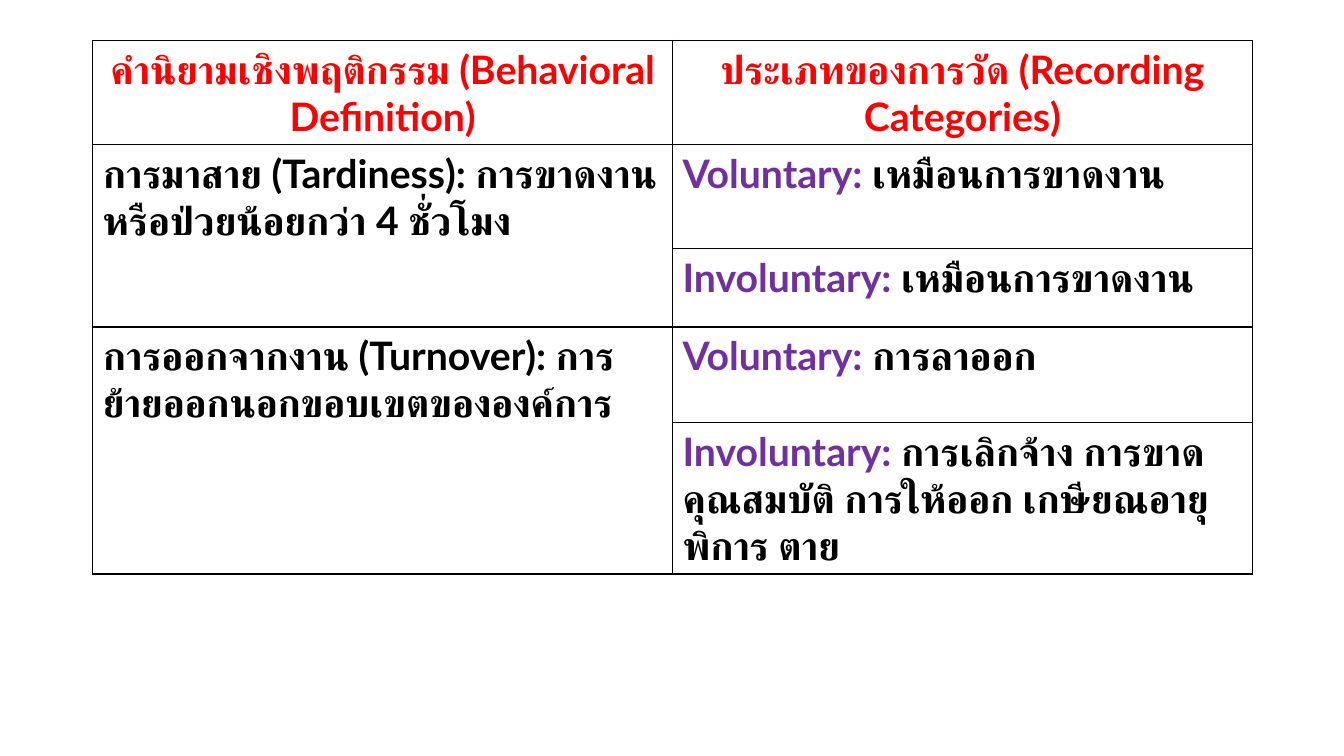
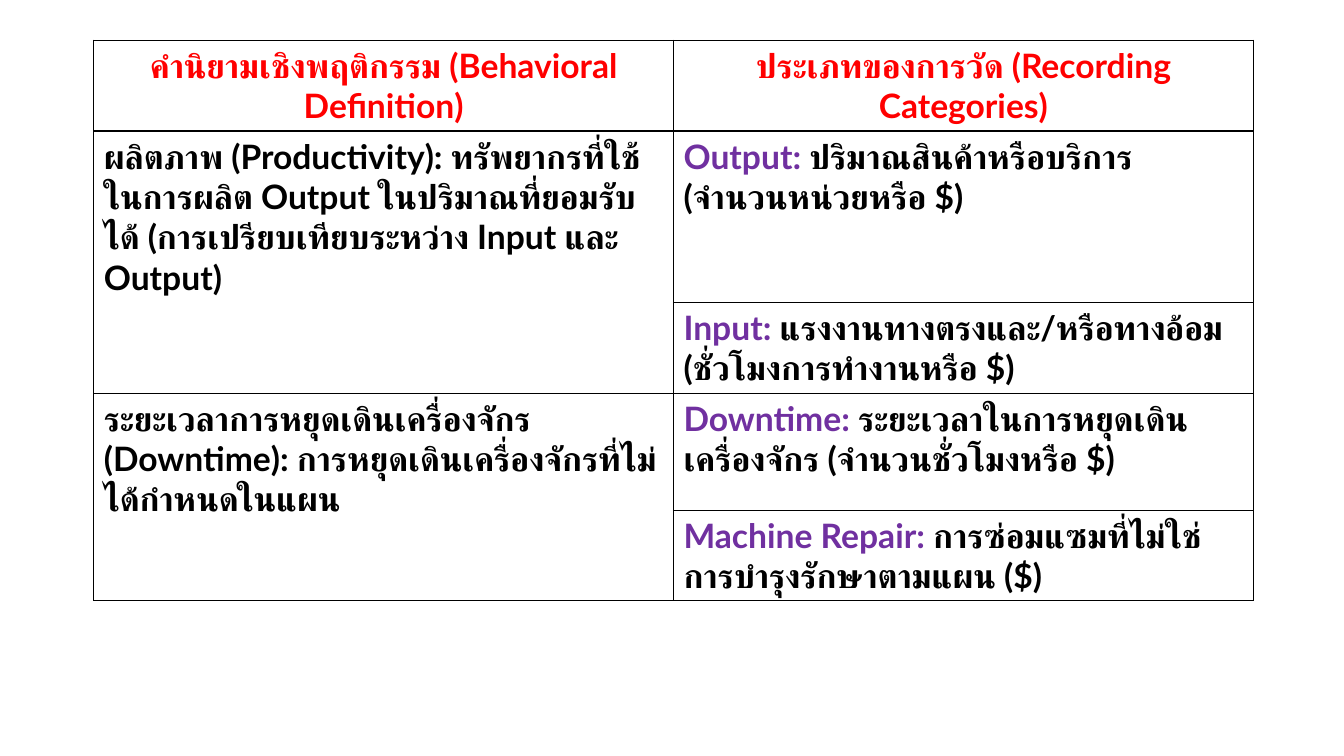
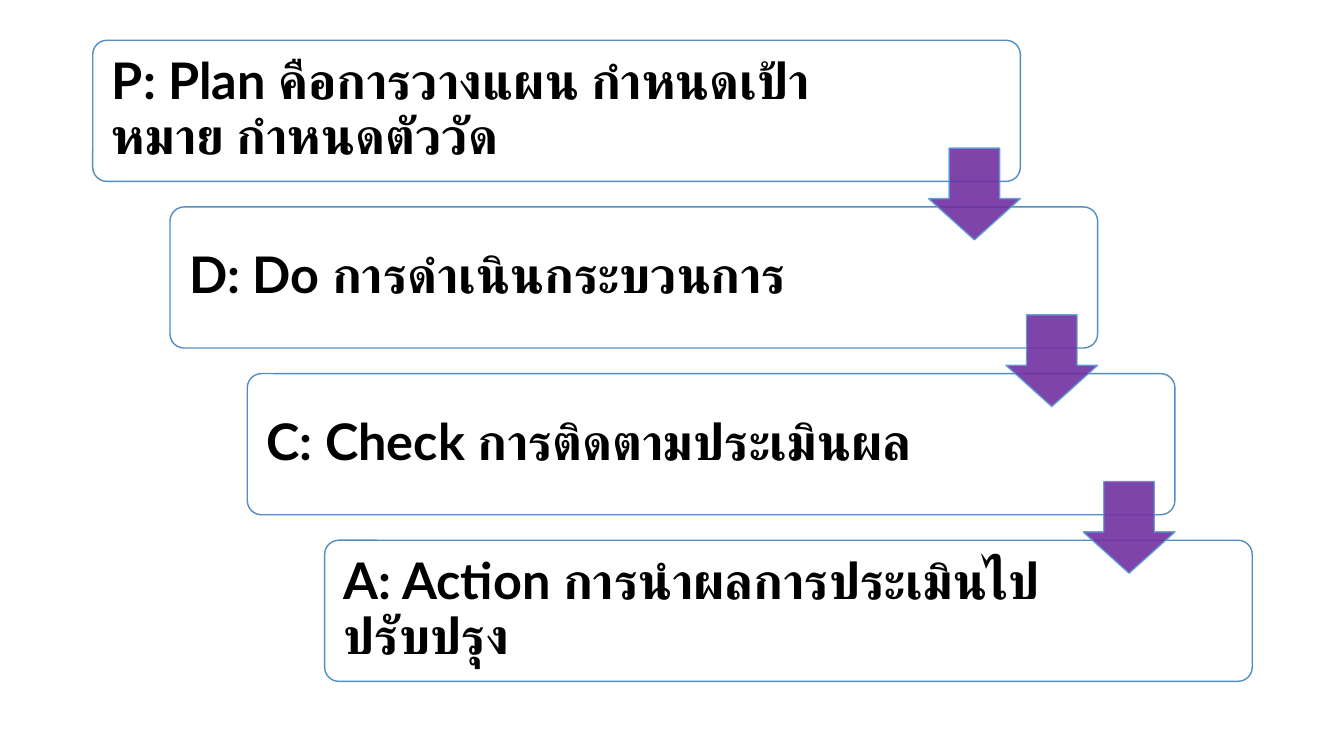
"""Build three slides: two tables of behavioral measures and the PDCA steps."""
from lxml import etree
from pptx import Presentation
from pptx.dml.color import RGBColor
from pptx.enum.shapes import MSO_SHAPE
from pptx.enum.text import MSO_ANCHOR, PP_ALIGN
from pptx.oxml.ns import qn
from pptx.util import Inches, Pt

ROUNDED = MSO_SHAPE.ROUNDED_RECTANGLE
DOWN_ARROW = MSO_SHAPE.DOWN_ARROW
MIDDLE = MSO_ANCHOR.MIDDLE
LEFT = PP_ALIGN.LEFT
CENTER = PP_ALIGN.CENTER

FONT = "Lato"
BLACK = RGBColor(0x00, 0x00, 0x00)
WHITE = RGBColor(0xFF, 0xFF, 0xFF)
RED = RGBColor(0xFF, 0x00, 0x00)
PURPLE = RGBColor(0x70, 0x30, 0xA0)
BOX_LINE = RGBColor(0x53, 0x8D, 0xC1)
ARROW_LINE = RGBColor(0x5B, 0x9B, 0xD5)

COLUMN_WIDTH = 5.75
BOX_LEFT, BOX_TOP, BOX_WIDTH, BOX_HEIGHT = 0.92, 0.4, 9.2, 1.4
STEP_X, STEP_Y = 2.3 / 3, 4.96 / 3
ARROW_SIZE, ARROW_DROP = 0.91, 1.07

HEADERS = (
    "คำนิยามเชิงพฤติกรรม (Behavioral Definition)",
    "ประเภทของการวัด (Recording Categories)",
)
ATTENDANCE = (
    ("การมาสาย (Tardiness): การขาดงานหรือป่วยน้อยกว่า 4 ชั่วโมง", (
        ("Voluntary: ", "เหมือนการขาดงาน"),
        ("Involuntary: ", "เหมือนการขาดงาน"),
    )),
    ("การออกจากงาน (Turnover): การย้ายออกนอกขอบเขตขององค์การ", (
        ("Voluntary: ", "การลาออก"),
        ("Involuntary: ", "การเลิกจ้าง การขาดคุณสมบัติ การให้ออก เกษียณอายุ พิการ ตาย"),
    )),
)
PRODUCTION = (
    ("ผลิตภาพ (Productivity): ทรัพยากรที่ใช้ในการผลิต Output ในปริมาณที่ยอมรับได้ "
     "(การเปรียบเทียบระหว่าง Input และ Output)", (
         ("Output: ", "ปริมาณสินค้าหรือบริการ (จำนวนหน่วยหรือ $)"),
         ("Input: ", "แรงงานทางตรงและ/หรือทางอ้อม (ชั่วโมงการทำงานหรือ $)"),
     )),
    ("ระยะเวลาการหยุดเดินเครื่องจักร (Downtime): การหยุดเดินเครื่องจักรที่ไม่ได้กำหนดในแผน", (
        ("Downtime: ", "ระยะเวลาในการหยุดเดินเครื่องจักร (จำนวนชั่วโมงหรือ $)"),
        ("Machine Repair: ", "การซ่อมแซมที่ไม่ใช่การบำรุงรักษาตามแผน ($)"),
    )),
)
PDCA_STEPS = (
    "P: Plan คือการวางแผน กำหนดเป้าหมาย กำหนดตัววัด",
    "D: Do การดำเนินกระบวนการ",
    "C: Check การติดตามประเมินผล",
    "A: Action การนำผลการประเมินไปปรับปรุง",
)


def add_blank_slide(presentation):
    return presentation.slides.add_slide(presentation.slide_layouts[6])


def add_run(paragraph, text, size, color):
    run = paragraph.add_run()
    run.text = text
    run.font.size = Pt(size)
    run.font.bold = True
    run.font.color.rgb = color
    run.font.name = FONT
    complex_font = etree.SubElement(run.font._element, qn("a:cs"))
    complex_font.set("typeface", FONT)


def fill_cell(cell, parts, size, alignment=LEFT):
    paragraph = cell.text_frame.paragraphs[0]
    paragraph.alignment = alignment
    for text, color in parts:
        add_run(paragraph, text, size, color)


def style_cell(cell):
    properties = cell._tc.get_or_add_tcPr()
    for side in ("a:lnL", "a:lnR", "a:lnT", "a:lnB"):
        line = etree.SubElement(properties, qn(side), w=str(Pt(1)))
        fill = etree.SubElement(line, qn("a:solidFill"))
        etree.SubElement(fill, qn("a:srgbClr"), val=str(BLACK))
    cell.fill.background()


def add_measure_table(slide, left, row_heights, size, measures):
    frame = slide.shapes.add_table(
        len(row_heights), len(HEADERS), Inches(left), Inches(0.4),
        Inches(COLUMN_WIDTH * len(HEADERS)), Inches(sum(row_heights)))
    table = frame.table
    for column in table.columns:
        column.width = Inches(COLUMN_WIDTH)
    for row, height in zip(table.rows, row_heights):
        row.height = Inches(height)
    for cell in table.iter_cells():
        style_cell(cell)
    for column, header in enumerate(HEADERS):
        fill_cell(table.cell(0, column), [(header, RED)], size, CENTER)
    row = 1
    for definition, categories in measures:
        table.cell(row, 0).merge(table.cell(row + len(categories) - 1, 0))
        fill_cell(table.cell(row, 0), [(definition, BLACK)], size)
        for label, detail in categories:
            fill_cell(table.cell(row, 1), [(label, PURPLE), (detail, BLACK)], size)
            row += 1


def add_filled_shape(slide, kind, bounds, fill_color, line_color, adjustments):
    shape = slide.shapes.add_shape(kind, *map(Inches, bounds))
    shape.shadow.inherit = False
    shape.fill.solid()
    shape.fill.fore_color.rgb = fill_color
    shape.line.color.rgb = line_color
    shape.line.width = Pt(1)
    for index, value in enumerate(adjustments):
        shape.adjustments[index] = value
    return shape


def add_step_box(slide, left, top, text):
    box = add_filled_shape(
        slide, ROUNDED, (left, top, BOX_WIDTH, BOX_HEIGHT), WHITE, BOX_LINE, [0.1])
    text_frame = box.text_frame
    text_frame.word_wrap = True
    text_frame.vertical_anchor = MIDDLE
    text_frame.margin_left = text_frame.margin_top = text_frame.margin_bottom = Inches(0.15)
    text_frame.margin_right = Inches(1.8)
    paragraph = text_frame.paragraphs[0]
    paragraph.alignment = LEFT
    paragraph.line_spacing = 0.9
    add_run(paragraph, text, 36, BLACK)


def add_step_arrow(slide, left, top):
    arrow = add_filled_shape(
        slide, DOWN_ARROW, (left, top, ARROW_SIZE, ARROW_SIZE),
        PURPLE, ARROW_LINE, [0.45, 0.55])
    arrow.adjustments[0], arrow.adjustments[1] = 0.55, 0.45
    for color in arrow._element.spPr.iter(qn("a:srgbClr")):
        etree.SubElement(color, qn("a:alpha"), val="90000")


def add_pdca_steps(slide):
    corners = [(BOX_LEFT + index * STEP_X, BOX_TOP + index * STEP_Y)
               for index in range(len(PDCA_STEPS))]
    for (left, top), text in zip(corners, PDCA_STEPS):
        add_step_box(slide, left, top, text)
    for left, top in corners[:-1]:
        add_step_arrow(slide, left + BOX_WIDTH - ARROW_SIZE, top + ARROW_DROP)


def main():
    presentation = Presentation()
    presentation.slide_width = Inches(13.33)
    presentation.slide_height = Inches(7.5)
    add_measure_table(add_blank_slide(presentation), 0.92,
                      (1.03, 1.03, 0.78, 0.95, 1.35), 28, ATTENDANCE)
    add_measure_table(add_blank_slide(presentation), 0.93,
                      (0.9, 1.7, 0.9, 1.16, 0.9), 24, PRODUCTION)
    add_pdca_steps(add_blank_slide(presentation))
    presentation.save("out.pptx")


if __name__ == "__main__":
    main()
